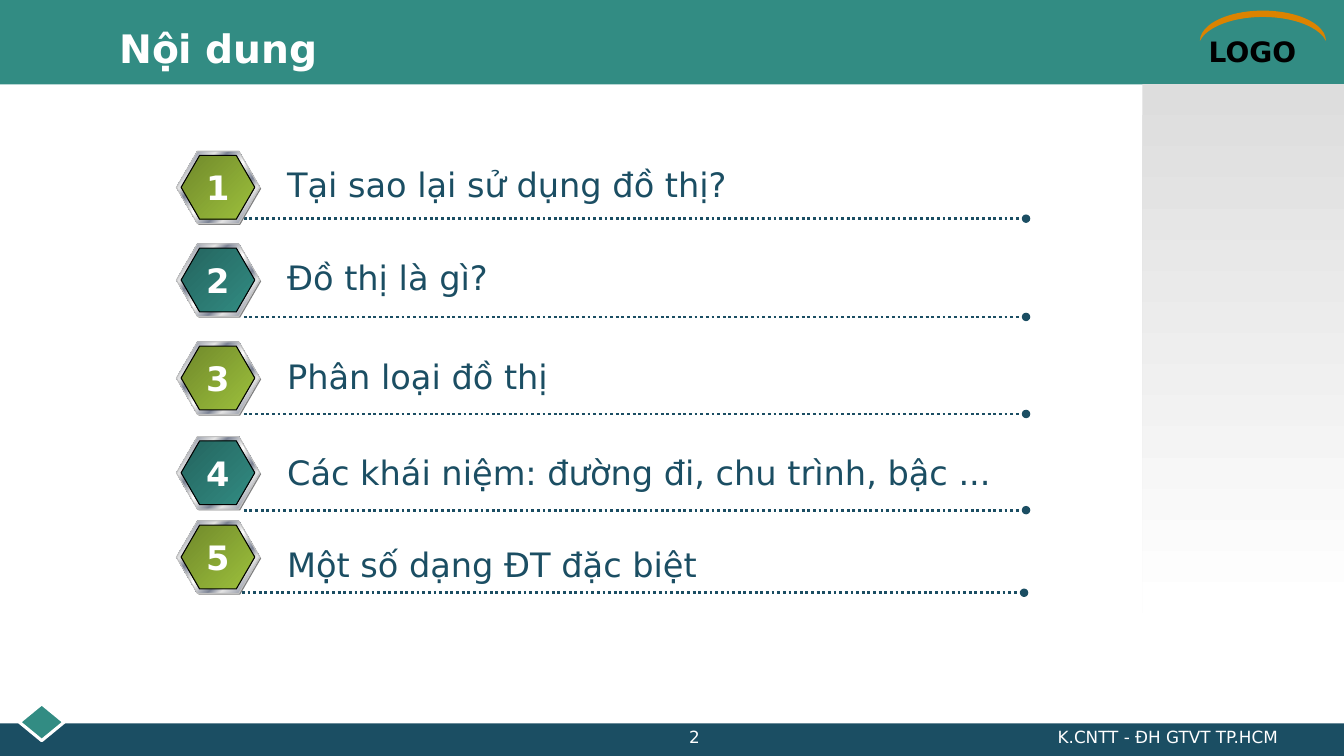
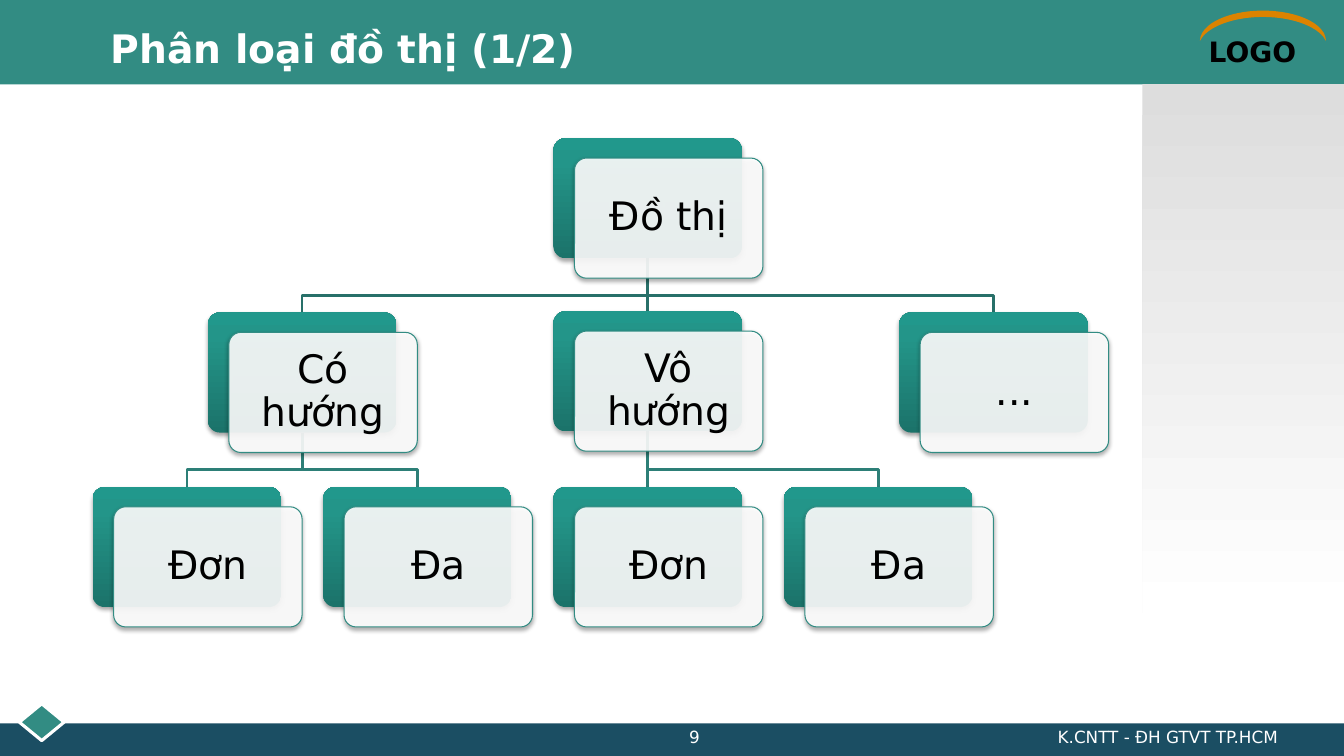
"""Build the agenda and graph classification slides of a lecture on graphs."""
import pptx
import pptx.dml.color
import pptx.enum.dml
import pptx.enum.shapes
import pptx.enum.text
import pptx.util
from lxml import etree
from pptx.oxml.ns import qn

Pt = pptx.util.Pt
RGB = pptx.dml.color.RGBColor.from_string
SHAPE = pptx.enum.shapes.MSO_SHAPE
STRAIGHT = pptx.enum.shapes.MSO_CONNECTOR.STRAIGHT
ALIGN = pptx.enum.text.PP_ALIGN
ANCHOR = pptx.enum.text.MSO_ANCHOR


class Theme:
    font = "DejaVu Sans"
    title_size, card_size, agenda_size, logo_size, footer_size = 28, 28, 24, 20, 12
    teal, navy, orange = "328C83", "1B4E63", "DC8300"
    white, black, grey, silver_edge = "FFFFFF", "000000", "808080", "C0C0C0"
    upper_link, lower_link = "287069", "2D7F77"
    side_fade = (90, [(0, "DDDDDD"), (100, "FFFFFF")])
    silver = (45, [(0, "E6E6E6"), (7, "7D8496"), (26, "E6E6E6"), (34, "7D8496"),
                   (46, "E6E6E6"), (50, "FFFFFF"), (54, "E6E6E6"), (66, "7D8496"),
                   (74, "E6E6E6"), (93, "7D8496"), (100, "E6E6E6")])
    badge_fills = ((45, [(0, "70892B"), (100, "9DC03C")]),
                   (45, [(0, "24645E"), (100, "328C83")]))
    card_back = (270, [(0, "1B736A"), (80, "239589"), (100, "21988C")])


def add_part(slide, preset, box, fill, edge=None, edge_width=0.75, adjust=None):
    part = slide.shapes.add_shape(preset, *map(Pt, box))
    part.shadow.inherit = False
    if adjust is not None:
        part.adjustments[0] = adjust
    if isinstance(fill, str):
        part.fill.solid()
        part.fill.fore_color.rgb = RGB(fill)
    else:
        angle, stops = fill
        part.fill.gradient()
        part.element.spPr.find(".//" + qn("a:lin")).set("ang", str(angle * 60000))
        stop_list = part.element.spPr.find(".//" + qn("a:gsLst"))
        stop_list[:] = []
        for position, colour in stops:
            stop = etree.SubElement(stop_list, qn("a:gs"), pos=str(position * 1000))
            etree.SubElement(stop, qn("a:srgbClr"), val=colour)
    if edge:
        part.line.color.rgb = RGB(edge)
        part.line.width = Pt(edge_width)
    else:
        part.line.fill.background()
    return part


def write(holder, text, size, colour, bold=False, align=ALIGN.LEFT, anchor=ANCHOR.TOP):
    frame = holder.text_frame
    frame.word_wrap = True
    frame.auto_size = pptx.enum.text.MSO_AUTO_SIZE.NONE
    frame.vertical_anchor = anchor
    paragraph = frame.paragraphs[0]
    paragraph.alignment = align
    run = paragraph.add_run()
    run.text = text
    run.font.name = Theme.font
    run.font.size = Pt(size)
    run.font.bold = bold
    run.font.color.rgb = RGB(colour)
    return holder


deck = pptx.Presentation()
deck.slide_width, deck.slide_height = Pt(960), Pt(540)
layout = deck.slide_layouts[5]
for placeholder in list(layout.placeholders):
    if placeholder.placeholder_format.idx != 0:
        layout.shapes.element.remove(placeholder.element)
agenda, classification = [deck.slides.add_slide(layout) for _ in range(2)]

shared_parts = [
    add_part(agenda, SHAPE.RECTANGLE, (0, 0, 960, 60.3), Theme.teal),
    add_part(agenda, SHAPE.RECTANGLE, (0, 516.7, 960, 23.3), Theme.navy),
    add_part(agenda, SHAPE.DIAMOND, (13.8, 502.7, 32, 26.3), Theme.teal, Theme.white, 2.25),
    write(agenda.shapes.add_textbox(Pt(856.3), Pt(20.8), Pt(103.7), Pt(31)),
          "LOGO", Theme.logo_size, Theme.black, bold=True),
    add_part(agenda, SHAPE.MOON, (891.3, -26.6, 21.6, 90), Theme.orange, adjust=0.21),
    add_part(agenda, SHAPE.RECTANGLE, (816, 60, 144, 378), Theme.side_fade),
    write(agenda.shapes.add_textbox(Pt(672), Pt(515.6), Pt(248), Pt(18.7)),
          "K.CNTT - ĐH GTVT TP.HCM", Theme.footer_size, Theme.white, align=ALIGN.RIGHT),
]
shared_parts[4].rotation = 90
for part in shared_parts:
    layout.shapes.element.append(part.element)

for slide, heading, left, width, number in (
        (agenda, "Nội dung", 78, 726, "2"),
        (classification, "Phân loại đồ thị (1/2)", 72, 732, "9")):
    title = slide.shapes.title
    title.left, title.top, title.width, title.height = map(Pt, (left, 12.2, width, 44.6))
    write(title, heading, Theme.title_size, Theme.white, bold=True, anchor=ANCHOR.MIDDLE)
    page_number = slide.shapes.add_textbox(Pt(384), Pt(515.6), Pt(224), Pt(18.7))
    write(page_number, number, Theme.footer_size, Theme.white, align=ALIGN.CENTER)

topics = (
    ("Tại sao lại sử dụng đồ thị?", 108, 113.8, 156.2, 174.2),
    ("Đồ thị là gì?", 174.2, 180, 226.4, 174.2),
    ("Phân loại đồ thị", 244.2, 250.4, 295.7, 174.2),
    ("Các khái niệm: đường đi, chu trình, bậc ...", 311.9, 319, 364.4, 174.2),
    ("Một số dạng ĐT đặc biệt", 372.1, 385.2, 423.4, 172.8),
)
for index, (topic, badge_top, topic_top, rule_y, rule_left) in enumerate(topics):
    rule = agenda.shapes.add_connector(
        STRAIGHT, Pt(rule_left), Pt(rule_y), Pt(rule_left + 558.7), Pt(rule_y))
    rule.line.color.rgb = RGB(Theme.navy)
    rule.line.width = Pt(2)
    rule.line.dash_style = pptx.enum.dml.MSO_LINE.ROUND_DOT
    etree.SubElement(rule.element.spPr.find(qn("a:ln")), qn("a:tailEnd"), type="oval")
    etree.SubElement(rule.element.spPr, qn("a:effectLst"))
    for offset, fill, edge in ((0.9, Theme.grey, None), (0, Theme.silver, Theme.silver_edge)):
        add_part(agenda, SHAPE.HEXAGON, (126 + offset, badge_top + offset, 59.6, 51.8),
                 fill, edge, adjust=0.29)
    badge = add_part(agenda, SHAPE.HEXAGON, (129.4, badge_top + 3, 52.6, 45.6),
                     Theme.badge_fills[index % 2], Theme.black, adjust=0.29)
    write(badge, str(index + 1), Theme.agenda_size, Theme.white, bold=True,
          align=ALIGN.CENTER, anchor=ANCHOR.MIDDLE)
    badge.text_frame.margin_left = badge.text_frame.margin_right = 0
    badge.text_frame.margin_top = badge.text_frame.margin_bottom = 0
    label = agenda.shapes.add_textbox(Pt(198), Pt(topic_top), Pt(535), Pt(36.3))
    write(label, topic, Theme.agenda_size, Theme.navy)

card_width, card_height, column_pitch = 134.6, 85.8, 164.6
nodes = {
    "root": ("Đồ thị", 2, 98.7),
    "directed": ("Có hướng", 0.5, 223.2),
    "undirected": ("Vô hướng", 2, 222.3),
    "other": ("...", 3.5, 223.2),
    "directed simple": ("Đơn", 0, 347.8),
    "directed multi": ("Đa", 1, 347.8),
    "undirected simple": ("Đơn", 2, 347.8),
    "undirected multi": ("Đa", 3, 347.8),
}
links = (
    ("root", "other"), ("undirected", "undirected multi"),
    ("undirected", "undirected simple"), ("root", "undirected"),
    ("directed", "directed multi"), ("directed", "directed simple"), ("root", "directed"),
)
straight_links = []
for parent, child in links:
    (parent_x, parent_y), (child_x, child_y) = [
        (66.2 + column * column_pitch + card_width / 2, top)
        for _, column, top in (nodes[parent], nodes[child])]
    parent_y += card_height
    if parent_x == child_x:
        link = classification.shapes.add_connector(
            STRAIGHT, Pt(parent_x), Pt(parent_y), Pt(child_x), Pt(child_y))
        straight_links.append((link, parent, child))
    else:
        bend_y = child_y - 12.4
        outline = classification.shapes.build_freeform(Pt(parent_x), Pt(parent_y))
        outline.add_line_segments(
            [(Pt(x), Pt(y)) for x, y in
             ((parent_x, bend_y), (child_x, bend_y), (child_x, child_y))], close=False)
        link = outline.convert_to_shape()
        link.fill.background()
    link.line.color.rgb = RGB(Theme.upper_link if parent == "root" else Theme.lower_link)
    link.line.width = Pt(2)
    etree.SubElement(link.element.spPr, qn("a:effectLst"))

backs = {}
for node, (caption, column, top) in nodes.items():
    left = 66.2 + column * column_pitch
    backs[node] = add_part(classification, SHAPE.ROUNDED_RECTANGLE,
                           (left, top, card_width, card_height), Theme.card_back, adjust=0.1)
    front = add_part(classification, SHAPE.ROUNDED_RECTANGLE,
                     (left + 15, top + 14.2, card_width, card_height),
                     Theme.white, Theme.teal, adjust=0.1)
    white_fill = front.element.spPr.find(qn("a:solidFill") + "/" + qn("a:srgbClr"))
    etree.SubElement(white_fill, qn("a:alpha"), val="90000")
    for card in (backs[node], front):
        shadow = etree.SubElement(
            card.element.spPr.find(qn("a:effectLst")), qn("a:outerShdw"), blurRad=str(Pt(3.1)),
            dist=str(Pt(1.8)), dir="5400000", rotWithShape="0")
        shadow_colour = etree.SubElement(shadow, qn("a:srgbClr"), val=Theme.black)
        etree.SubElement(shadow_colour, qn("a:alpha"), val="35000")
    write(front, caption, Theme.card_size, Theme.black,
          align=ALIGN.CENTER, anchor=ANCHOR.MIDDLE)
    front.text_frame.margin_left = front.text_frame.margin_right = Pt(8.6)
    front.text_frame.paragraphs[0].line_spacing = 0.9

for link, parent, child in straight_links:
    link.begin_connect(backs[parent], 2)
    link.end_connect(backs[child], 0)

deck.save("out.pptx")
